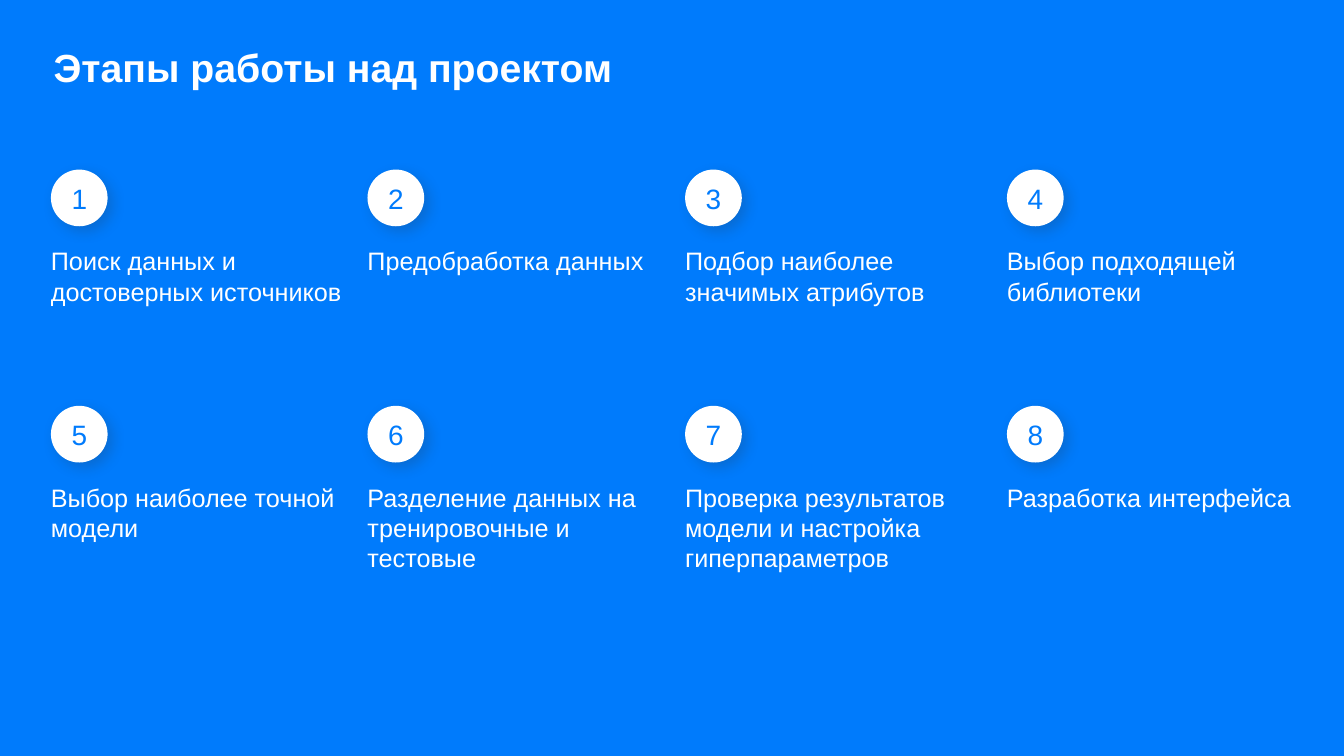
from lxml.etree import SubElement
from pptx import Presentation
from pptx.dml.color import RGBColor
from pptx.enum.shapes import MSO_SHAPE
from pptx.enum.text import MSO_ANCHOR, MSO_AUTO_SIZE, PP_ALIGN
from pptx.oxml.ns import qn
from pptx.util import Pt

# Content
TITLE = "Этапы работы над проектом"
STAGES = [
    "Поиск данных и достоверных источников",
    "Предобработка данных",
    "Подбор наиболее значимых атрибутов",
    "Выбор подходящей библиотеки",
    "Выбор наиболее точной модели",
    "Разделение данных на тренировочные и тестовые",
    "Проверка результатов модели и настройка гиперпараметров",
    "Разработка интерфейса",
]

# Look and layout, in px at 96 to the inch
COLORS = {"blue": "007BFC", "white": "FFFFFF", "shadow": "2C2C2C"}
FONT = "Arial"
PX = 9525
SLIDE_W, SLIDE_H = 2560, 1440
COLUMNS = [(97, 563), (700, 549), (1305, 557), (1918, 549)]  # left, text width
ROWS = [323, 773]
CIRCLE = 108
NUMBER_W, NUMBER_H = 76, 66
TEXT_DROP, LINE_H = 145, 58


def rgb(name):
    return RGBColor.from_string(COLORS[name])


def add_text(slide, text, box, size, color, bold=False, inset=0,
             align=PP_ALIGN.LEFT, anchor=MSO_ANCHOR.TOP, fit=MSO_AUTO_SIZE.SHAPE_TO_FIT_TEXT):
    frame = slide.shapes.add_textbox(*(v * PX for v in box)).text_frame
    frame.word_wrap = True
    frame.auto_size = fit
    frame.vertical_anchor = anchor
    frame.margin_left = frame.margin_right = inset * PX
    frame.margin_top = frame.margin_bottom = inset * PX
    paragraph = frame.paragraphs[0]
    paragraph.alignment = align
    run = paragraph.add_run()
    run.text = text
    run.font.name, run.font.size, run.font.bold = FONT, Pt(size), bold
    run.font.color.rgb = rgb(color)


def add_circle(slide, left, top):
    circle = slide.shapes.add_shape(
        MSO_SHAPE.OVAL, left * PX, top * PX, CIRCLE * PX, CIRCLE * PX)
    circle.fill.solid()
    circle.fill.fore_color.rgb = rgb("white")
    circle.line.fill.background()
    # Soft shadow to the lower right
    circle.shadow.inherit = False
    effects = circle.element.spPr.find(qn("a:effectLst"))
    shadow = SubElement(effects, qn("a:outerShdw"), blurRad=str(Pt(20)),
                        dist=str(Pt(10)), dir=str(45 * 60000),
                        algn="tl", rotWithShape="0")
    tint = SubElement(shadow, qn("a:srgbClr"), val=COLORS["shadow"])
    SubElement(tint, qn("a:alpha"), val="20000")


def main():
    deck = Presentation()
    deck.slide_width, deck.slide_height = SLIDE_W * PX, SLIDE_H * PX
    slide = deck.slides.add_slide(deck.slide_layouts[6])
    slide.background.fill.solid()
    slide.background.fill.fore_color.rgb = rgb("blue")

    # Heading
    add_text(slide, TITLE, (96, 76, 1771, 240), 56, "white", bold=True, inset=6,
             fit=MSO_AUTO_SIZE.NONE)

    # Numbered stages, row by row
    for index, stage in enumerate(STAGES):
        row, column = divmod(index, len(COLUMNS))
        top = ROWS[row]
        left, width = COLUMNS[column]
        add_circle(slide, left, top)
        number_box = (left + (CIRCLE - NUMBER_W) // 2, top + (CIRCLE - NUMBER_H) // 2,
                      NUMBER_W, NUMBER_H)
        add_text(slide, str(index + 1), number_box, 40, "blue",
                 align=PP_ALIGN.CENTER, anchor=MSO_ANCHOR.MIDDLE)
        lines = 1 if len(stage) < 22 else 2 if len(stage) < 40 else 3
        add_text(slide, stage, (left, top + TEXT_DROP, width, lines * LINE_H), 36, "white")

    deck.save("out.pptx")


if __name__ == "__main__":
    main()
